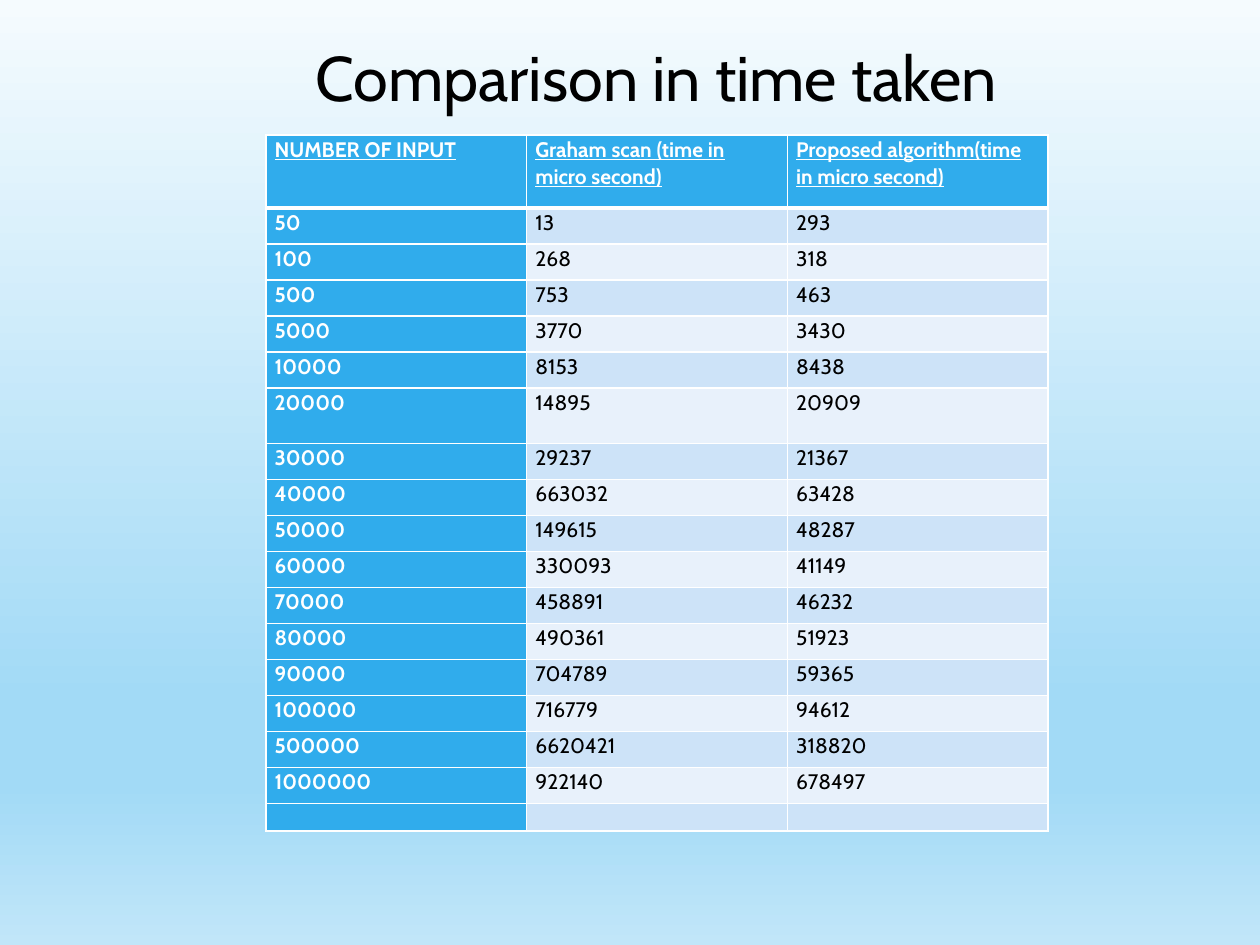
from dataclasses import dataclass

from lxml import etree
from pptx import Presentation
from pptx.dml.color import RGBColor
from pptx.enum.text import MSO_ANCHOR, PP_ALIGN
from pptx.oxml.ns import qn
from pptx.util import Inches, Pt

MIDDLE = MSO_ANCHOR.MIDDLE
CENTER = PP_ALIGN.CENTER
BLANK_LAYOUT = 6


@dataclass(frozen=True)
class Theme:
    """Colours, font and type sizes of the slide."""
    font: str = "Cabin"
    title_size: int = 36
    table_size: int = 12
    line_spacing: float = 1.07
    dark: str = "000000"
    light: str = "FFFFFF"
    accent: str = "30ACEC"
    bands: tuple = ("CDE3F8", "E8F1FB")
    sky: tuple = ((0, "F5FBFE"), (74, "A2DAF6"), (83, "A2DAF6"), (100, "C1E6F9"))
    rule: int = 1
    header_rule: int = 3


@dataclass(frozen=True)
class Timing:
    """One table row: input count and the time of each algorithm."""
    inputs: str
    graham: str
    proposed: str

    def texts(self) -> tuple:
        """Return the cell texts from left to right."""
        return self.inputs, self.graham, self.proposed


THEME = Theme()
TIMINGS = (
    Timing("NUMBER OF INPUT", "Graham scan (time in micro second)",
           "Proposed algorithm(time in micro second)"),
    Timing("50", "13", "293"),
    Timing("100", "268", "318"),
    Timing("500", "753", "463"),
    Timing("5000", "3770", "3430"),
    Timing("10000", "8153", "8438"),
    Timing("20000", "14895", "20909"),
    Timing("30000", "29237", "21367"),
    Timing("40000", "663032", "63428"),
    Timing("50000", "149615", "48287"),
    Timing("60000", "330093", "41149"),
    Timing("70000", "458891", "46232"),
    Timing("80000", "490361", "51923"),
    Timing("90000", "704789", "59365"),
    Timing("100000", "716779", "94612"),
    Timing("500000", "6620421", "318820"),
    Timing("1000000", "922140", "678497"),
    Timing("", "", ""),
)
STANDARD_ROW = Inches(4.29 / 15)
LAST_ROW = len(TIMINGS) - 1
SPECIAL_ROWS = {0: Inches(0.58), 6: Inches(0.44), LAST_ROW: Inches(0.22)}


def paint_background(page) -> None:
    """Fill the page with the vertical sky gradient."""
    fill = page.background.fill
    fill.gradient()
    fill.gradient_angle = 270
    stops = page.element.find(".//" + qn("a:gsLst"))
    for stop in list(stops):
        stops.remove(stop)
    for percent, color in THEME.sky:
        stop = etree.SubElement(stops, qn("a:gs"), pos=str(percent * 1000))
        etree.SubElement(stop, qn("a:srgbClr"), val=color)


def style_font(font, size: int, color: str) -> None:
    """Apply the theme font with a size and a colour."""
    font.name = THEME.font
    font.size = Pt(size)
    font.color.rgb = RGBColor.from_string(color)


def add_title(page, text: str) -> None:
    """Add the centred title."""
    box = page.shapes.add_textbox(Inches(0.92), Inches(0.27), Inches(8.58), Inches(0.67))
    frame = box.text_frame
    frame.word_wrap = True
    frame.vertical_anchor = MIDDLE
    para = frame.paragraphs[0]
    para.text = text
    para.alignment = CENTER
    style_font(para.font, THEME.title_size, THEME.dark)


def add_borders(cell, row: int) -> None:
    """Draw light borders, with a heavier rule below the header."""
    heavy = {0: "lnB", 1: "lnT"}.get(row)
    properties = cell._tc.get_or_add_tcPr()
    for side in ("lnL", "lnR", "lnT", "lnB"):
        points = THEME.header_rule if side == heavy else THEME.rule
        line = etree.SubElement(properties, qn("a:" + side), w=str(int(Pt(points))))
        fill = etree.SubElement(line, qn("a:solidFill"))
        etree.SubElement(fill, qn("a:srgbClr"), val=THEME.light)


def fill_cell(cell, text: str, row: int, column: int) -> None:
    """Write and style one table cell."""
    is_header = row == 0
    is_label = is_header or column == 0
    cell.margin_left = cell.margin_right = Inches(0.07)
    cell.margin_top = cell.margin_bottom = 0
    add_borders(cell, row)
    cell.fill.solid()
    color = THEME.accent if is_label else THEME.bands[(row - 1) % 2]
    cell.fill.fore_color.rgb = RGBColor.from_string(color)
    para = cell.text_frame.paragraphs[0]
    para.line_spacing = THEME.line_spacing
    style_font(para.font, THEME.table_size, THEME.light if is_label else THEME.dark)
    para.font.bold = is_label
    para.font.underline = is_header
    if text:
        para.text = text
    else:
        etree.SubElement(para._p, qn("a:endParaRPr"), sz=str(THEME.table_size * 100))


def add_timing_table(page) -> None:
    """Add the table of running times."""
    heights = [SPECIAL_ROWS.get(row, STANDARD_ROW) for row in range(len(TIMINGS))]
    table = page.shapes.add_table(len(TIMINGS), 3, Inches(2.11), Inches(1.07),
                                  Inches(6.2), sum(heights)).table
    table.first_col = True
    for column in table.columns:
        column.width = Inches(2.07)
    for row, (timing, height) in enumerate(zip(TIMINGS, heights)):
        table.rows[row].height = height
        for column, text in enumerate(timing.texts()):
            fill_cell(table.cell(row, column), text, row, column)


def main() -> None:
    """Build and save the deck."""
    deck = Presentation()
    deck.slide_width, deck.slide_height = Inches(10), Inches(7.5)
    page = deck.slides.add_slide(deck.slide_layouts[BLANK_LAYOUT])
    paint_background(page)
    add_title(page, "Comparison in time taken")
    add_timing_table(page)
    deck.save("out.pptx")


main()
